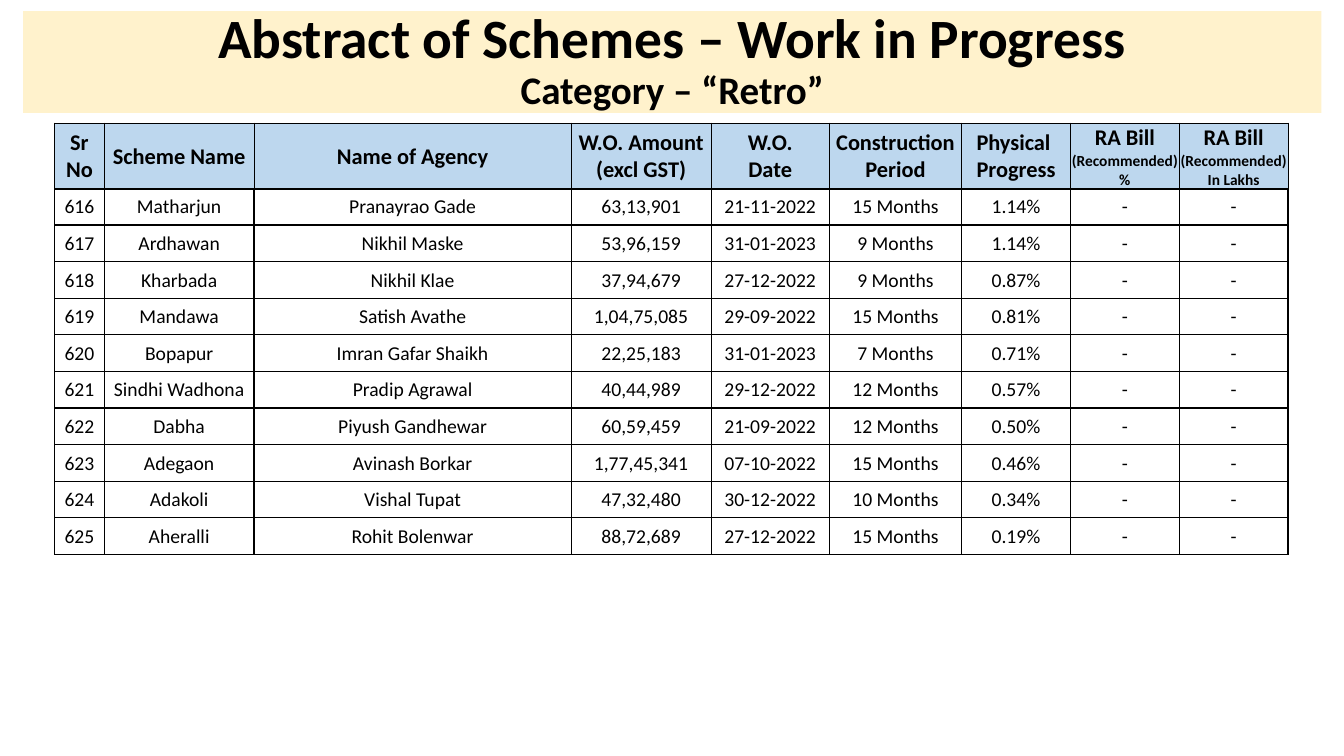
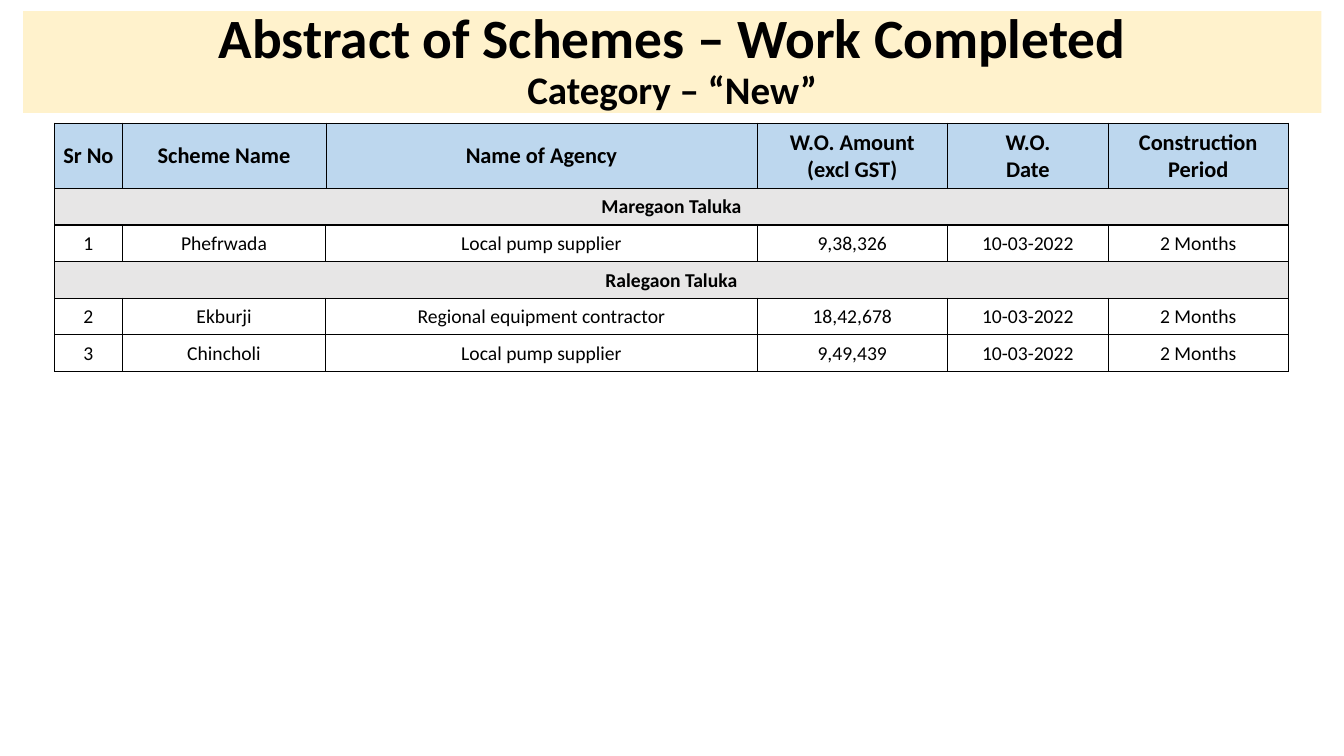
from lxml import etree
from pptx import Presentation
from pptx import util as u
from pptx.dml.color import RGBColor
from pptx.enum import shapes, text
from pptx.oxml.ns import qn

COLS = [35.5, 107, 226.5, 100, 84.5, 94.5, 77.75, 77.75, 77.75]
HEADS = [
    ["Sr No"], ["Scheme Name"], ["Name of Agency"],
    ["W.O. Amount", "(excl GST)"], ["W.O.", "Date"],
    ["Construction", "Period"], ["Physical ", "Progress"],
    ["RA Bill", ("(Recommended)", 11), ("%", 11)],
    ["RA Bill", ("(Recommended)", 11), ("In Lakhs", 11)],
]
RETRO = [
    ("616", "Matharjun", "Pranayrao Gade", "63,13,901", "21-11-2022", "15 Months", "1.14%"),
    ("617", "Ardhawan", "Nikhil Maske", "53,96,159", "31-01-2023", "9 Months", "1.14%"),
    ("618", "Kharbada", "Nikhil Klae", "37,94,679", "27-12-2022", "9 Months", "0.87%"),
    ("619", "Mandawa", "Satish Avathe", "1,04,75,085", "29-09-2022", "15 Months", "0.81%"),
    ("620", "Bopapur", "Imran Gafar Shaikh", "22,25,183", "31-01-2023", "7 Months", "0.71%"),
    ("621", "Sindhi Wadhona", "Pradip Agrawal", "40,44,989", "29-12-2022", "12 Months", "0.57%"),
    ("622", "Dabha", "Piyush Gandhewar", "60,59,459", "21-09-2022", "12 Months", "0.50%"),
    ("623", "Adegaon", "Avinash Borkar", "1,77,45,341", "07-10-2022", "15 Months", "0.46%"),
    ("624", "Adakoli", "Vishal Tupat", "47,32,480", "30-12-2022", "10 Months", "0.34%"),
    ("625", "Aheralli", "Rohit Bolenwar", "88,72,689", "27-12-2022", "15 Months", "0.19%"),
]
NEW = [
    ("Maregaon Taluka",),
    ("1", "Phefrwada", "Local pump supplier", "9,38,326", "10-03-2022", "2 Months"),
    ("Ralegaon Taluka",),
    ("2", "Ekburji", "Regional equipment contractor", "18,42,678", "10-03-2022", "2 Months"),
    ("3", "Chincholi", "Local pump supplier", "9,49,439", "10-03-2022", "2 Months"),
]


def paint(fill, color):
    """Fill with a hex colour, or with nothing."""
    if color:
        fill.solid()
        fill.fore_color.rgb = RGBColor.from_string(color)
    else:
        fill.background()


def write(frame, lines, size, bold=False, color="000000", font="Calibri", space=None):
    """Write centred lines; a line is a string or a (string, size) pair."""
    frame.word_wrap = True
    for i, line in enumerate(lines):
        words, points = (line, size) if isinstance(line, str) else line
        para = frame.add_paragraph() if i else frame.paragraphs[0]
        para.alignment = text.PP_ALIGN.CENTER
        if space:
            para.line_spacing = space
        run = para.add_run()
        run.text = words
        run.font.name, run.font.size, run.font.bold = font, u.Pt(points), bold
        run.font.color.rgb = RGBColor.from_string(color)


def edge(cell, widths, color="000000"):
    """Draw the cell borders; widths are left, right, top, bottom."""
    props = cell._tc.get_or_add_tcPr()
    for i, (side, width) in enumerate(zip("LRTB", widths)):
        line = etree.Element(qn(f"a:ln{side}"), w=str(u.Pt(width)))
        fill = etree.SubElement(line, qn("a:solidFill"))
        etree.SubElement(fill, qn("a:srgbClr"), val=color)
        props.insert(i, line)


class Deck:
    BAND, HEAD, GROUP = "FFF2CC", "BDD7EE", "E7E6E6"
    LEFT, TOP, WIDTH = 39, 87.75, sum(COLS)
    TALL, ROW = 46.8, 26.15

    def __init__(self):
        self.show = Presentation()
        self.show.slide_width, self.show.slide_height = u.Pt(960), u.Pt(540)
        self.slide = None

    def page(self, title, topic):
        self.slide = self.show.slides.add_slide(self.show.slide_layouts[6])
        band = self.slide.shapes.add_shape(
            shapes.MSO_SHAPE.RECTANGLE, u.Pt(16.5), u.Pt(8), u.Pt(927.5), u.Pt(72.75))
        band.shadow.inherit = False
        paint(band.fill, self.BAND)
        band.line.fill.background()
        band.text_frame.vertical_anchor = text.MSO_ANCHOR.MIDDLE
        write(band.text_frame, [title, (f"Category – “{topic}”", 27.9)], 39.6,
              bold=True, space=0.9)

    def cell(self, cell, lines, widths, fill=None, **style):
        cell.margin_left = cell.margin_right = cell.margin_top = u.Pt(0.72)
        cell.margin_bottom = 0
        cell.vertical_anchor = text.MSO_ANCHOR.MIDDLE
        paint(cell.fill, fill)
        edge(cell, widths)
        write(cell.text_frame, lines, **style)

    def grid(self, top, rows, cols, height):
        """Add a plain table whose columns share the full width."""
        table = self.slide.shapes.add_table(
            rows, len(cols), u.Pt(self.LEFT), u.Pt(top),
            u.Pt(self.WIDTH), u.Pt(rows * height)).table
        table.first_row = table.horz_banding = False
        for col, width in zip(table.columns, cols):
            col.width = u.Pt(width * self.WIDTH / sum(cols))
        for row in table.rows:
            row.height = u.Pt(height)
        return table

    def heads(self, count):
        table = self.grid(self.TOP, 1, COLS[:count], self.TALL)
        for cell, lines in zip(table.iter_cells(), HEADS):
            self.cell(cell, lines, (0.5, 0.5, 0.5, 1), self.HEAD, size=16, bold=True)

    def body(self, count, rows):
        """Add the rows; a row with one entry spans all columns."""
        table = self.grid(self.TOP + self.TALL, len(rows), COLS[:count], self.ROW)
        for r, row in enumerate(rows):
            group = len(row) == 1
            if group:
                table.cell(r, 0).merge(table.cell(r, count - 1))
            for c in range(count):
                lines = [row[c]] if c < len(row) else []
                self.cell(table.cell(r, c), lines, (1, 1, 1, 1),
                          self.GROUP if group else None, size=14, bold=group)


def main():
    deck = Deck()
    deck.page("Abstract of Schemes – Work in Progress", "Retro")
    deck.heads(9)
    deck.body(9, [row + ("-", "-") for row in RETRO])
    deck.page("Abstract of Schemes – Work Completed", "New")
    deck.heads(6)
    deck.body(6, NEW)
    deck.show.save("out.pptx")


if __name__ == "__main__":
    main()
